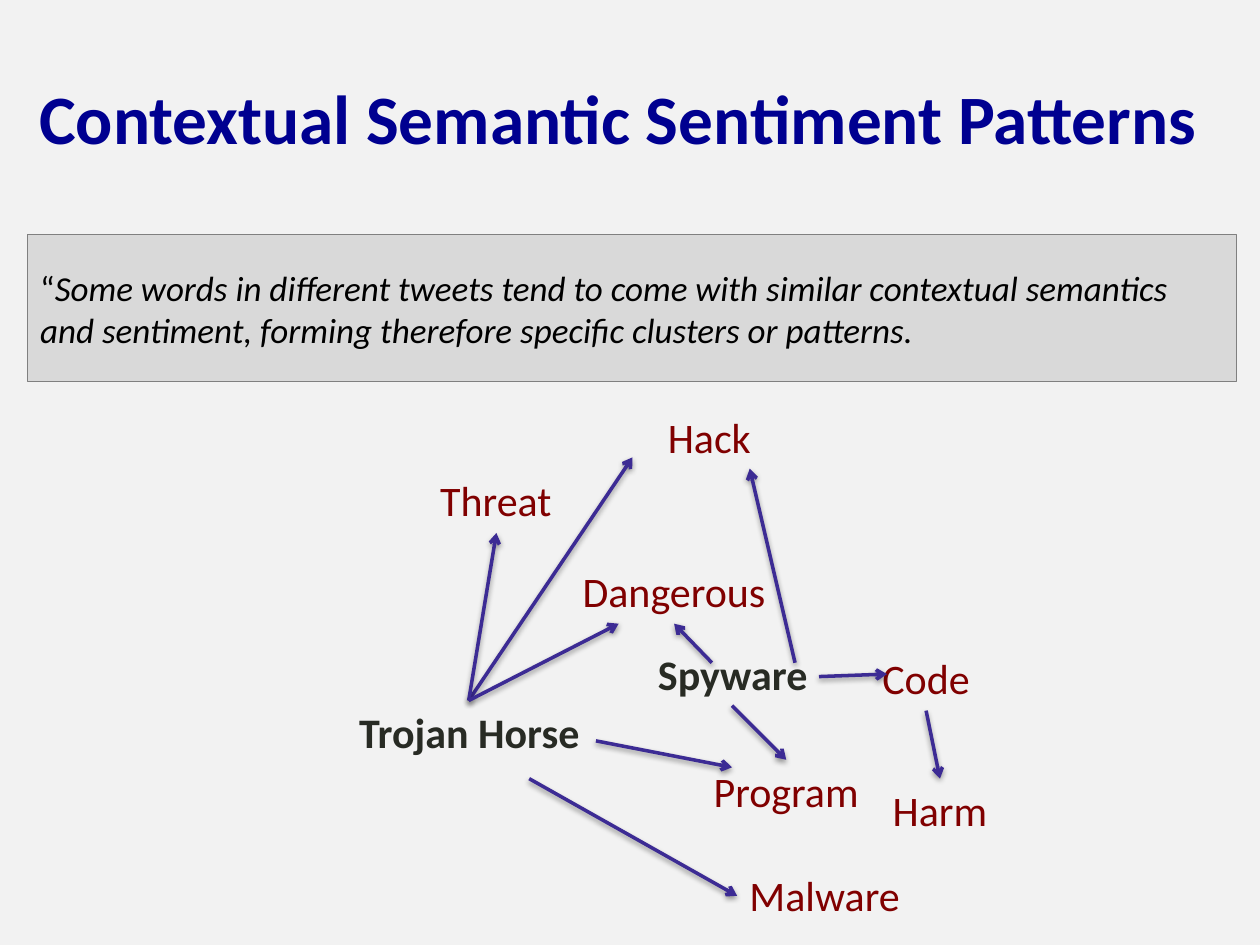
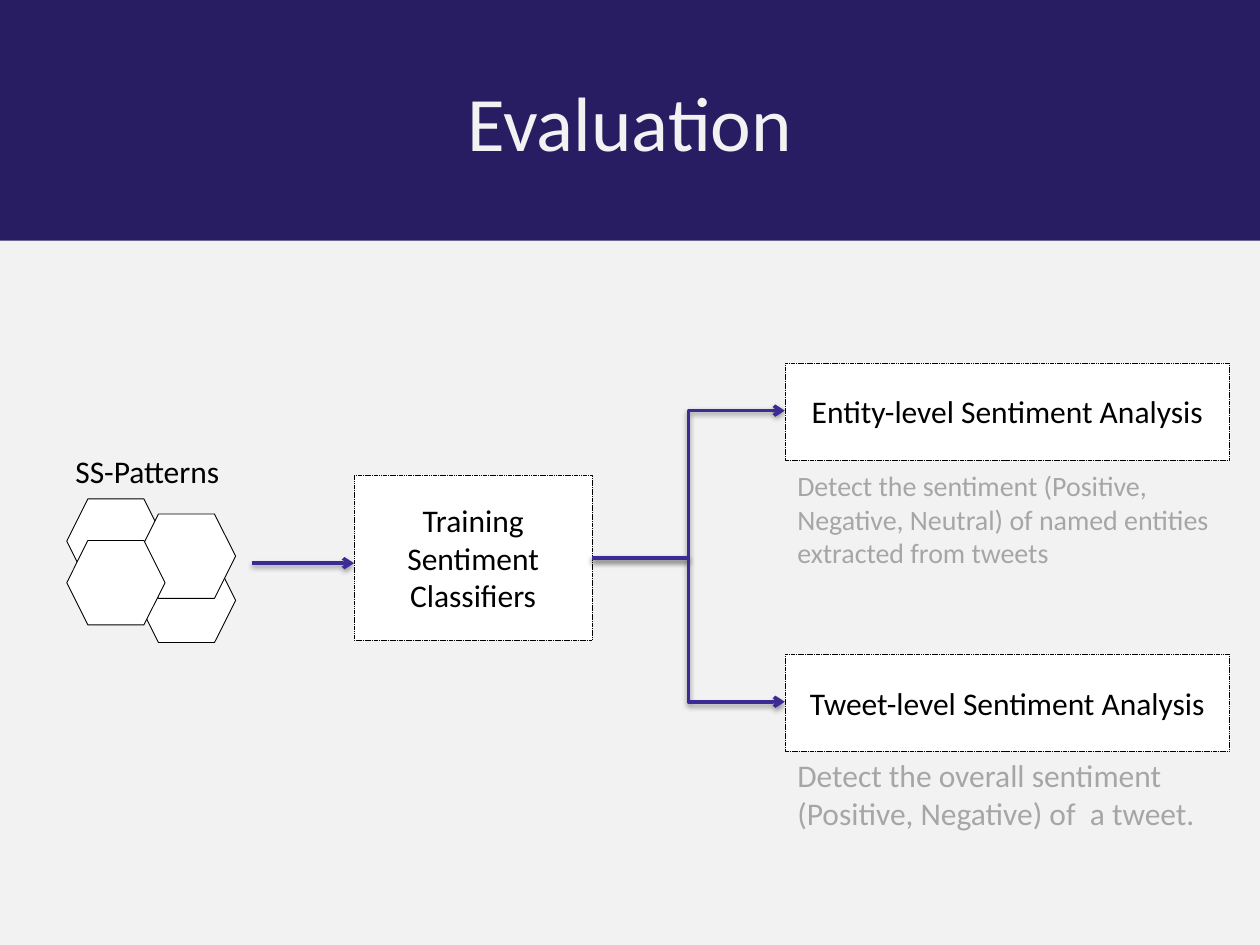
from collections import namedtuple
from dataclasses import dataclass

from lxml import etree
from pptx import Presentation, util as u
from pptx.dml.color import RGBColor
from pptx.enum import dml, shapes, text
from pptx.oxml import ns

EMU_PER_PX = 9144
Box = namedtuple("Box", "left top width height")


@dataclass(frozen=True)
class Theme:
    font: str = "Calibri"
    paper: str = "F2F2F2"
    band: str = "281D63"
    heading: str = "000090"
    panel: str = "D9D9D9"
    panel_edge: str = "808080"
    ink: str = "000000"
    white: str = "FFFFFF"
    entity: str = "282B24"
    context: str = "800000"
    arrow: str = "3C2B94"
    muted: str = "A6A6A6"
    heading_size: float = 39.6
    band_size: float = 44
    word_size: float = 24
    quote_size: float = 20
    label_size: float = 18
    note_size: float = 16
    arrow_width: float = 2
    edge_width: float = 0.5
    dash_width: float = 0.25


THEME = Theme()
LEFT, CENTER = text.PP_ALIGN.LEFT, text.PP_ALIGN.CENTER


def px(*lengths):
    return [u.Emu(length * EMU_PER_PX) for length in lengths]


def inside(box, left, top, width, height):
    return Box(box.left + left, box.top + top, width, height)


def style_span(span, size, color, bold=False, italic=False):
    font = span.font
    font.name, font.size = THEME.font, u.Pt(size)
    font.bold, font.italic = bold, italic
    font.color.rgb = RGBColor.from_string(color)


def write(shape, wording, size, color, align=CENTER, bold=False,
          anchor=text.MSO_ANCHOR.MIDDLE):
    frame = shape.text_frame
    frame.word_wrap = True
    frame.auto_size = text.MSO_AUTO_SIZE.NONE
    frame.vertical_anchor = anchor
    frame.text = wording
    para = frame.paragraphs[0]
    para.alignment = align
    style_span(para.runs[0], size, color, bold)
    return para


def add_label(page, box, wording, size, color, align=CENTER, bold=False):
    label = page.shapes.add_textbox(*px(*box))
    write(label, wording, size, color, align, bold, text.MSO_ANCHOR.TOP)


def add_panel(page, box, fill, edge, width=THEME.edge_width,
              kind=shapes.MSO_SHAPE.RECTANGLE):
    panel = page.shapes.add_shape(kind, *px(*box))
    panel.shadow.inherit = False
    panel.fill.solid()
    panel.fill.fore_color.rgb = RGBColor.from_string(fill)
    panel.line.color.rgb = RGBColor.from_string(edge)
    panel.line.width = u.Pt(width)
    return panel


def add_step(page, box, wording):
    step = add_panel(page, box, THEME.white, THEME.ink, THEME.dash_width)
    step.line.dash_style = dml.MSO_LINE.SQUARE_DOT
    write(step, wording, THEME.label_size, THEME.ink)


def add_arrow(page, box, start, end, kind=shapes.MSO_CONNECTOR.STRAIGHT):
    points = [box.left + start[0], box.top + start[1],
              box.left + end[0], box.top + end[1]]
    arrow = page.shapes.add_connector(kind, *px(*points))
    arrow.line.color.rgb = RGBColor.from_string(THEME.arrow)
    arrow.line.width = u.Pt(THEME.arrow_width)
    etree.SubElement(arrow.line._get_or_add_ln(), ns.qn("a:tailEnd"), type="arrow")
    effects = etree.SubElement(arrow._element.spPr, ns.qn("a:effectLst"))
    shadow = etree.SubElement(effects, ns.qn("a:outerShdw"), blurRad="40000",
                              dist="20000", dir="5400000", rotWithShape="0")
    color = etree.SubElement(shadow, ns.qn("a:srgbClr"), val=THEME.ink)
    etree.SubElement(color, ns.qn("a:alpha"), val="38000")


def add_title(page, box, wording, size, color, bold=False):
    title = page.shapes.title
    title.left, title.top, title.width, title.height = px(*box)
    write(title, wording, size, color, bold=bold)
    return title


def add_quote(page, box):
    quote = add_panel(page, box, THEME.panel, THEME.panel_edge)
    para = write(quote, "“", THEME.quote_size, THEME.ink, LEFT)
    span = para.add_run()
    span.text = ("Some words in different tweets tend to come with similar contextual "
                 "semantics and sentiment, forming therefore specific clusters or patterns.")
    style_span(span, THEME.quote_size, THEME.ink, italic=True)


def add_word_web(page, box):
    entities = [("Trojan Horse", 0, 234, 245), ("Spyware", 209, 188, 245)]
    contexts = [
        ("Threat", 64, 50, 159), ("Hack", 245, 0, 136), ("Code", 417, 191, 136),
        ("Malware", 313, 363, 183), ("Program", 294, 281, 160),
        ("Dangerous", 170, 122, 230), ("Harm", 428, 296, 136),
    ]
    for words, color, bold in ((entities, THEME.entity, True),
                               (contexts, THEME.context, False)):
        for word, left, top, width in words:
            add_label(page, inside(box, left, top, width, 50), word,
                      THEME.word_size, color, bold=bold)

    trojan_top = (122, 234)
    links = [
        (trojan_top, (252, 41)), (trojan_top, (144, 101)), (trojan_top, (241, 173)),
        ((170, 296), (335, 389)), ((223, 266), (331, 287)),
        ((331, 238), (374, 281)), ((315, 204), (285, 173)),
        ((400, 215), (454, 213)), ((381, 204), (345, 50)),
        ((485, 242), (496, 296)),
    ]
    for start, end in links:
        add_arrow(page, box, start, end)


def add_pattern_cluster(page, box):
    add_label(page, inside(box, 0, 0, box.width, 40), "SS-Patterns",
              THEME.label_size, THEME.ink, LEFT)
    for left, top in ((3, 42), (59, 89), (59, 54), (3, 75)):
        add_panel(page, inside(box, left, top, 78, 67), THEME.white, THEME.ink,
                  kind=shapes.MSO_SHAPE.HEXAGON)


def add_pipeline(page, box):
    add_pattern_cluster(page, inside(box, 0, 66, 137, 156))
    add_arrow(page, box, (150, 159), (231, 159))
    add_step(page, inside(box, 231, 89, 189, 131), "Training Sentiment Classifiers")
    tasks = [
        ("Entity-level Sentiment Analysis", 0, 79, 91, THEME.note_size,
         "Detect the sentiment (Positive, Negative, Neutral) of named entities "
         "extracted from tweets"),
        ("Tweet-level Sentiment Analysis", 231, 76, 71, THEME.label_size,
         "Detect the overall sentiment (Positive, Negative) of  a tweet."),
    ]
    for name, top, note_offset, note_height, note_size, note in tasks:
        add_arrow(page, box, (420, 155), (573, top + 38), shapes.MSO_CONNECTOR.ELBOW)
        add_step(page, inside(box, 573, top, 353, 77), name)
        add_label(page, inside(box, 573, top + note_offset, 357, note_height),
                  note, note_size, THEME.muted, LEFT)


def build_patterns_page(page):
    add_title(page, Box(0, 30, 981, 125), "Contextual Semantic Sentiment Patterns",
              THEME.heading_size, THEME.heading, bold=True)
    add_quote(page, Box(22, 186, 959, 117))
    add_word_web(page, Box(250, 322, 564, 413))


def build_evaluation_page(page):
    band = add_title(page, Box(0, 0, 1000, 191), "Evaluation",
                     THEME.band_size, THEME.paper)
    band.fill.solid()
    band.fill.fore_color.rgb = RGBColor.from_string(THEME.band)
    add_pipeline(page, Box(50, 288, 930, 378))


def main():
    deck = Presentation()
    deck.slide_width, deck.slide_height = px(1000, 750)
    backdrop = deck.slide_master.background.fill
    backdrop.solid()
    backdrop.fore_color.rgb = RGBColor.from_string(THEME.paper)
    title_only = deck.slide_layouts.get_by_name("Title Only")
    for build in (build_patterns_page, build_evaluation_page):
        build(deck.slides.add_slide(title_only))
    deck.save("out.pptx")


if __name__ == "__main__":
    main()
